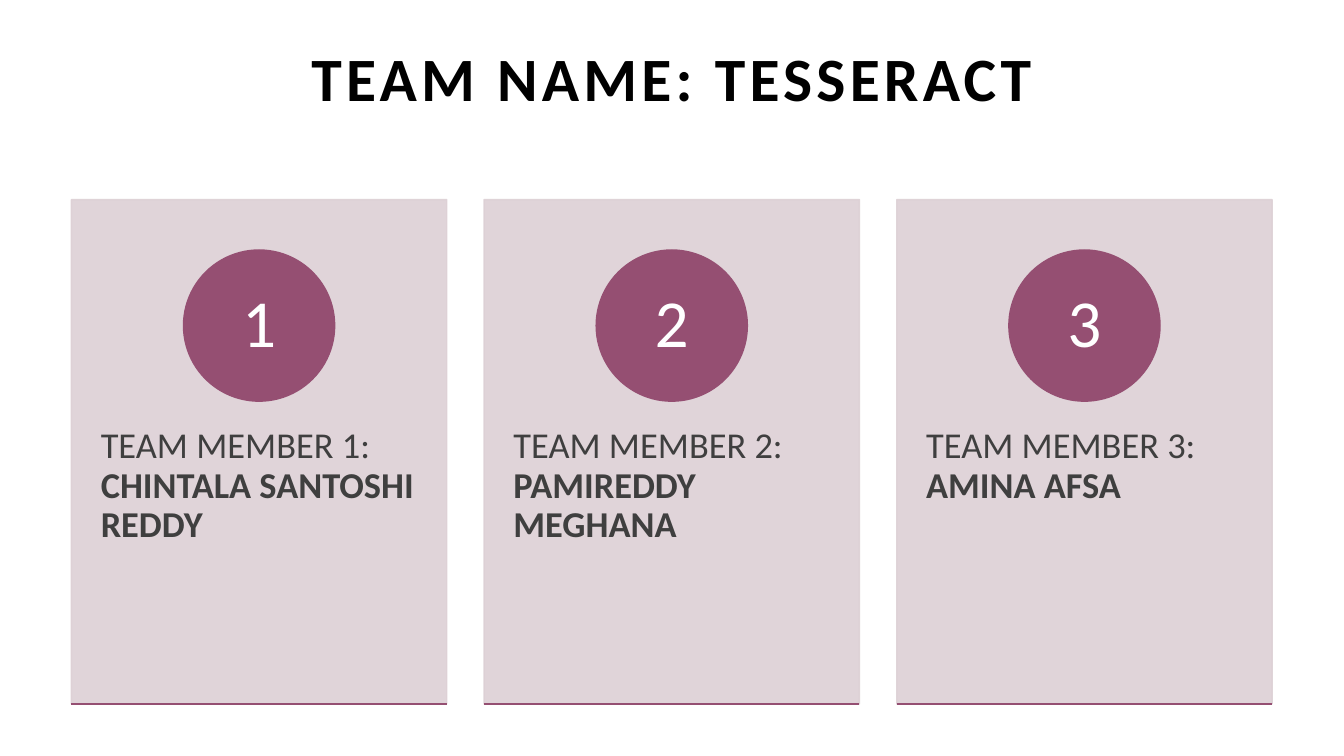
from lxml import etree
from pptx import Presentation, util as u
from pptx.dml.color import RGBColor
from pptx.enum import shapes, text
from pptx.oxml.ns import qn

BLACK = RGBColor(0x00, 0x00, 0x00)
WHITE = RGBColor(0xFF, 0xFF, 0xFF)
GREY = RGBColor(0x3F, 0x3F, 0x3F)
PLUM = RGBColor(0x95, 0x4F, 0x72)
MAUVE = RGBColor(0xDD, 0xD0, 0xD5)

TITLE = {"size": u.Pt(44), "bold": True, "color": BLACK}
NUMBER = {"size": u.Pt(48), "bold": False, "color": WHITE}
LABEL = {"size": u.Pt(26), "bold": False, "color": GREY}
NAME = {**LABEL, "bold": True}

MEMBERS = ["CHINTALA SANTOSHI REDDY", "PAMIREDDY MEGHANA", "AMINA AFSA"]


def add_run(p, words, fmt):
    """Add a Calibri run in the given format."""
    r = p.add_run()
    r.text = words
    r.font.name = "Calibri"
    for key, value in fmt.items():
        if key == "color":
            r.font.color.rgb = value
        else:
            setattr(r.font, key, value)
    return r


def set_frame(sp, anchor, align, inset_x, inset_y):
    """Lay out a text frame and return its first paragraph."""
    tf = sp.text_frame
    frame = {"word_wrap": True, "vertical_anchor": anchor,
             "margin_left": inset_x, "margin_right": inset_x,
             "margin_top": inset_y, "margin_bottom": inset_y}
    for key, value in frame.items():
        setattr(tf, key, value)
    p = tf.paragraphs[0]
    p.alignment = align
    p.line_spacing = 0.9
    return p


def add_solid(s, kind, box, color, opacity=100):
    """Add a shape with fill and outline of one colour."""
    sp = s.shapes.add_shape(kind, *box)
    sp.shadow.inherit = False
    sp.fill.solid()
    sp.fill.fore_color.rgb = color
    sp.line.color.rgb = color
    sp.line.width = u.Pt(1)
    if opacity < 100:
        for clr in sp.element.spPr.iter(qn("a:srgbClr")):
            etree.SubElement(clr, qn("a:alpha"), val=str(opacity * 1000))
    return sp


def add_title(s, words, x, y, w, h):
    """Place the centred, letter-spaced title."""
    sp = s.shapes.add_textbox(x, y, w, h)
    p = set_frame(sp, text.MSO_ANCHOR.MIDDLE, text.PP_ALIGN.CENTER,
                  u.Cm(0.25), u.Cm(0.13))
    r = add_run(p, words, TITLE)
    r.font._element.set("spc", "300")


def add_card(s, number, name, x, y, w, h):
    """Place one member card with numbered circle, text and base line."""
    add_solid(s, shapes.MSO_SHAPE.RECTANGLE, (x, y, w, h), MAUVE, 90)

    sp = s.shapes.add_textbox(x, y + u.Cm(4.83), w, u.Cm(7.62))
    p = set_frame(sp, text.MSO_ANCHOR.TOP, text.PP_ALIGN.LEFT,
                  u.Cm(0.74), u.Cm(0.91))
    add_run(p, f"TEAM MEMBER {number}: ", LABEL)
    add_run(p, name, NAME)

    d = u.Cm(3.81)
    sp = add_solid(s, shapes.MSO_SHAPE.OVAL,
                   (x + (w - d) // 2, y + u.Cm(1.27), d, d), PLUM)
    p = set_frame(sp, text.MSO_ANCHOR.MIDDLE, text.PP_ALIGN.CENTER, 0, 0)
    add_run(p, str(number), NUMBER)

    line = s.shapes.add_connector(shapes.MSO_CONNECTOR.STRAIGHT,
                                  x, y + h, x + w, y + h)
    line.line.color.rgb = PLUM
    line.line.width = u.Pt(1)
    etree.SubElement(line.element.spPr, qn("a:effectLst"))


def main():
    """Build the team slide."""
    prs = Presentation()
    prs.slide_width, prs.slide_height = u.Cm(33.87), u.Cm(19.05)
    s = prs.slides.add_slide(prs.slide_layouts[6])
    left, pitch = u.Cm(1.8), u.Cm(10.4)
    for i, name in enumerate(MEMBERS):
        add_card(s, i + 1, name, left + i * pitch, u.Cm(5.03), u.Cm(9.46), u.Cm(12.71))
    add_title(s, "TEAM NAME: TESSERACT", left, u.Cm(0.81), u.Cm(30.27), u.Cm(2.49))
    prs.save("out.pptx")


if __name__ == "__main__":
    main()
